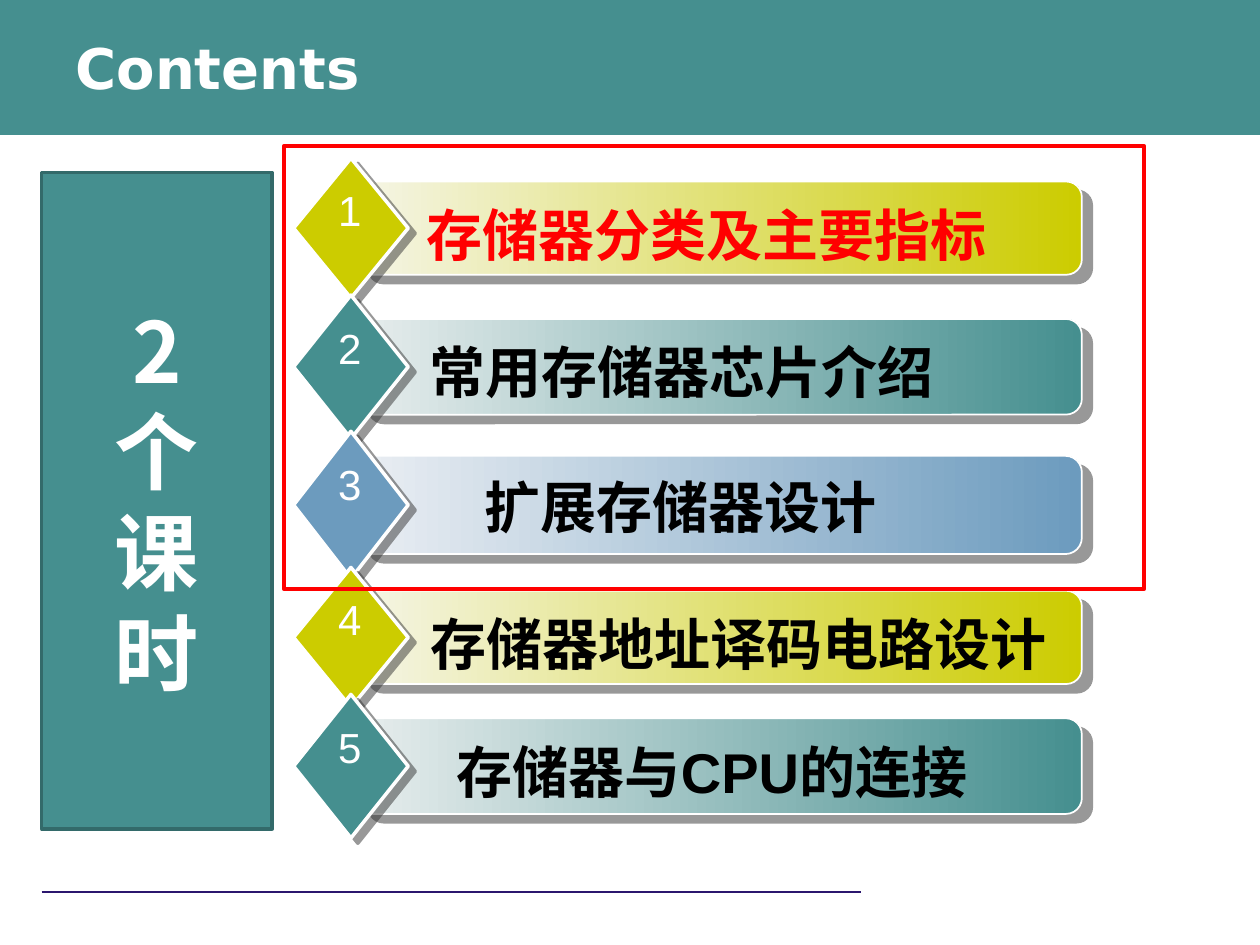
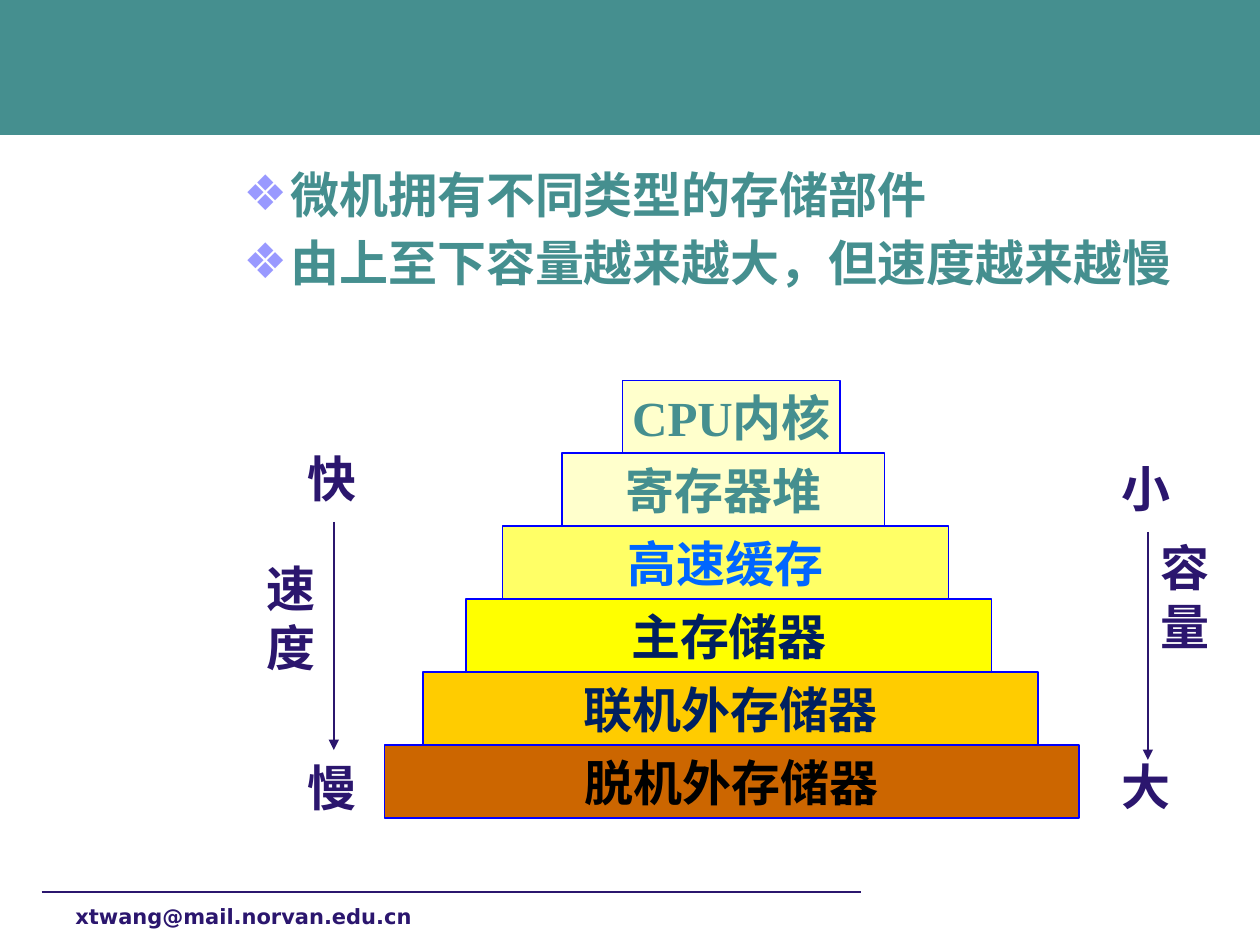
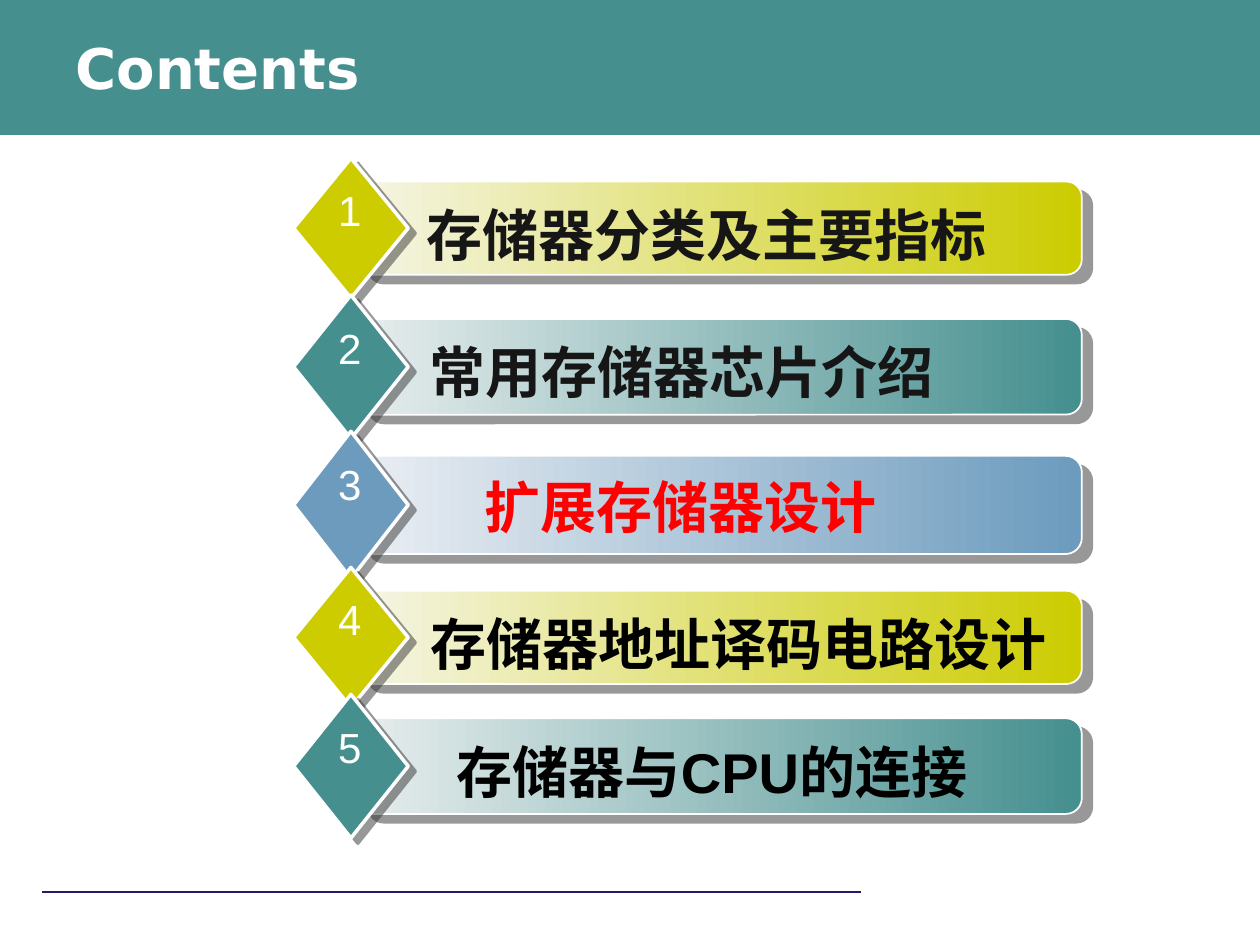
from dataclasses import dataclass

from lxml.etree import SubElement
from pptx import Presentation
from pptx.dml.color import RGBColor as RGB
from pptx.enum.shapes import MSO_CONNECTOR as Conn, MSO_SHAPE as Shape
from pptx.enum.text import MSO_ANCHOR as Anchor, MSO_AUTO_SIZE as AutoSize, PP_ALIGN as Align
from pptx.oxml.ns import qn
from pptx.util import Cm, Pt


@dataclass(frozen=True)
class Theme:
    teal: str = "458F8F"
    teal_dark: str = "336A6A"
    lime: str = "CCCC00"
    blue: str = "6C9BBE"
    navy: str = "2B166E"
    ink: str = "002060"
    white: str = "FFFFFF"
    black: str = "000000"
    soft_black: str = "161616"
    red: str = "FF0000"
    box_line: str = "0000FF"
    bullet: str = "9999FF"
    shadow: str = "333333"
    sans: str = "Arial"
    heading: str = "DejaVu Sans"
    serif: str = "Times New Roman"
    cjk: str = "Noto Sans CJK JP"
    huge: int = 48
    title: int = 32
    body: int = 28
    number: int = 24
    small: int = 12


T = Theme()

# Content: agenda rows as text, bar top, bar height, colour, label left, label width
AGENDA = [
    ("存储器分类及主要指标", 3.66, 1.88, T.lime, 7.98, 12.55),
    ("常用存储器芯片介绍", 6.43, 1.93, T.teal, 7.98, 11.53),
    ("扩展存储器设计", 9.19, 1.98, T.blue, 7.95, 11.53),
    ("存储器地址译码电路设计", 11.91, 1.88, T.lime, 8.41, 12.98),
    ("存储器与CPU的连接", 14.48, 1.93, T.teal, 8.59, 11.53),
]
PALE = {T.lime: "F5F5E6", T.teal: "E7EDED", T.blue: "EAEEF3"}
OVERVIEW_COLOURS = [T.red] + [T.black] * 4
DESIGN_COLOURS = [T.soft_black, T.soft_black, T.red, T.black, T.black]
HOURS = ["2", "个", "课", "时"]

POINTS = ["微机拥有不同类型的存储部件", "由上至下容量越来越大，但速度越来越慢"]
EMAIL = "xtwang@mail.norvan.edu.cn"
# Pyramid levels: text, left, width, fill, text colour
LEVELS = [
    ("CPU内核", 12.55, 4.39, "FFFFCC", T.teal),
    ("寄存器堆", 11.33, 6.50, "FFFFCC", T.teal),
    ("高速缓存", 10.13, 8.99, "FFFF66", "0066FF"),
    ("主存储器", 9.40, 10.59, "FFFF00", T.ink),
    ("联机外存储器", 8.53, 12.40, "FFCC00", T.ink),
    ("脱机外存储器", 7.75, 14.00, "CC6600", T.black),
]
LEVEL_TOP, LEVEL_H = 7.67, 1.47
# Scale words: text, left, top, height
SCALE_WORDS = [
    ("快", 5.94, 8.92, 1.45), ("速度", 5.13, 11.13, 2.62), ("慢", 5.94, 15.14, 1.45),
    ("小", 22.35, 9.12, 1.45), ("容量", 23.14, 10.72, 2.62), ("大", 22.35, 15.11, 1.45),
]
SCALE_ARROWS = [(6.73, 10.52), (23.14, 10.72)]
ARROW_LENGTH = 4.6


# Drawing helpers
def write(shape, text, size=T.body, font=T.sans, color=T.navy, bold=True,
          align=Align.LEFT, anchor=Anchor.MIDDLE, wrap=True, pitch=None, before=None):
    """Fill a shape with one paragraph per line of text."""
    tf = shape.text_frame
    tf.auto_size, tf.word_wrap, tf.vertical_anchor = AutoSize.NONE, wrap, anchor
    for i, line in enumerate([text] if isinstance(text, str) else text):
        p = tf.paragraphs[0] if i == 0 else tf.add_paragraph()
        p.alignment = align
        if pitch:
            p.line_spacing = Pt(pitch)
        if before:
            p.space_before = Pt(before)
        r = p.add_run()
        r.text = line
        r.font.size, r.font.bold, r.font.name = Pt(size), bold, font
        r.font.color.rgb = RGB.from_string(color)
        SubElement(r.font._element, qn("a:ea"), typeface=T.cjk)
    return tf


def text_box(s, left, top, width, height, text, **fmt):
    box = s.shapes.add_textbox(Cm(left), Cm(top), Cm(width), Cm(height))
    write(box, text, **fmt)


def add_shape(s, kind, left, top, width, height, fill=None, line=None, weight=1):
    sp = s.shapes.add_shape(kind, Cm(left), Cm(top), Cm(width), Cm(height))
    sp.shadow.inherit = False
    if fill:
        sp.fill.solid()
        sp.fill.fore_color.rgb = RGB.from_string(fill)
    else:
        sp.fill.background()
    if line:
        sp.line.color.rgb = RGB.from_string(line)
        sp.line.width = Pt(weight)
    else:
        sp.line.fill.background()
    return sp


def add_line(s, x1, y1, x2, y2, weight, arrow=False):
    c = s.shapes.add_connector(Conn.STRAIGHT, Cm(x1), Cm(y1), Cm(x2), Cm(y2))
    c.line.color.rgb = RGB.from_string(T.navy)
    c.line.width = Pt(weight)
    if arrow:
        SubElement(c.line._get_or_add_ln(), qn("a:tailEnd"), type="triangle")
    SubElement(c.element.spPr, qn("a:effectLst"))
    return c


def cast_shadow(sp, distance, angle):
    effects = sp.element.spPr.find(qn("a:effectLst"))
    outer = SubElement(effects, qn("a:outerShdw"), blurRad="0", dist=str(int(Pt(distance))),
                       dir=str(angle * 60000), algn="ctr", rotWithShape="0")
    color = SubElement(outer, qn("a:srgbClr"), val=T.shadow)
    SubElement(color, qn("a:alpha"), val="50000")


def place(ph, left, top, width, height):
    ph.left, ph.top, ph.width, ph.height = Cm(left), Cm(top), Cm(width), Cm(height)


def share_on_master(prs, s):
    """Draw the header band and footer rule, then move them behind every slide."""
    tree = prs.slide_master.shapes.element
    band = add_shape(s, Shape.RECTANGLE, 0, 0, 25.4, 2.72, T.teal)
    rule = add_line(s, 0.84, 17.98, 17.35, 17.98, 0.75)
    for i, part in enumerate((band, rule)):
        tree.insert(2 + i, part.element)


# Slides
def agenda_slide(prs, label_colours):
    s = prs.slides.add_slide(prs.slide_layouts[5])
    title = s.shapes.title
    place(title, 1.27, 0.56, 16.08, 1.57)
    write(title, "Contents", size=T.title, font=T.heading, color=T.white)
    for i, (row, label_color) in enumerate(zip(AGENDA, label_colours), 1):
        text, top, height, color, label_left, label_w = row
        bar = add_shape(s, Shape.ROUNDED_RECTANGLE, 7.21, top, 14.6, height, color, T.white)
        bar.adjustments[0] = 0.167
        bar.fill.gradient()
        bar.fill.gradient_angle = 0
        for stop, stop_color in zip(bar.fill.gradient_stops, (PALE[color], color)):
            stop.color.rgb = RGB.from_string(stop_color)
        cast_shadow(bar, 7.8, 40)
        diamond = add_shape(s, Shape.DIAMOND, 5.92, top - height / 4, 2.31, height * 1.5,
                            color, T.white, 2)
        cast_shadow(diamond, 5, 37)
        text_box(s, label_left, top + 0.23 - (0.05 if i == 3 else 0), label_w, 1.65, text,
                 size=T.title, color=label_color, align=Align.CENTER)
        text_box(s, 6.45, top - 0.08, 1.2, 1.3, str(i), size=T.number, color=T.white,
                 bold=False, align=Align.CENTER, wrap=False)
    return s


def add_focus(s):
    sidebar = add_shape(s, Shape.RECTANGLE, 0.84, 3.48, 4.65, 13.23, T.teal, T.teal_dark, 2)
    write(sidebar, HOURS, size=T.huge, font=T.cjk, color=T.white, align=Align.CENTER,
          pitch=T.huge * 1.2)
    add_shape(s, Shape.RECTANGLE, 5.72, 2.95, 17.35, 8.92, line=T.red, weight=2.25)


def hierarchy_slide(prs):
    s = prs.slides.add_slide(prs.slide_layouts[1])
    title = s.shapes.title.element
    title.getparent().remove(title)
    text_box(s, 1.27, 18.08, 7.42, 0.97, EMAIL, size=T.small, font=T.heading,
             anchor=Anchor.TOP)

    # Bulleted points
    body = s.placeholders[1]
    place(body, 4.65, 3.18, 19.48, 14.4)
    tf = write(body, POINTS, font=T.heading, color=T.teal, anchor=Anchor.TOP,
               pitch=T.body * 1.2, before=T.body * 0.2)
    for p in tf.paragraphs:
        pPr = p._p.get_or_add_pPr()
        indent = int(Cm(0.95))
        pPr.set("marL", str(indent))
        pPr.set("indent", str(-indent))
        SubElement(SubElement(pPr, qn("a:buClr")), qn("a:srgbClr"), val=T.bullet)
        SubElement(pPr, qn("a:buChar"), char="❖")

    # Pyramid of storage levels
    for i, (text, left, width, fill, color) in enumerate(LEVELS):
        level = add_shape(s, Shape.RECTANGLE, left, LEVEL_TOP + i * LEVEL_H, width, LEVEL_H,
                          fill, T.box_line)
        tf = write(level, text, font=T.serif, color=color, align=Align.CENTER)
        tf.margin_left = tf.margin_right = Cm(0.05)

    # Speed and capacity scales
    for text, left, top, height in SCALE_WORDS:
        text_box(s, left, top, 1.6, height, text,
                 pitch=T.body * 1.2 if len(text) > 1 else None)
    for x, top in SCALE_ARROWS:
        add_line(s, x, top, x, top + ARROW_LENGTH, 1, arrow=True)


def main():
    prs = Presentation()
    prs.slide_width, prs.slide_height = Cm(25.4), Cm(19.05)
    overview = agenda_slide(prs, OVERVIEW_COLOURS)
    share_on_master(prs, overview)
    add_focus(overview)
    hierarchy_slide(prs)
    agenda_slide(prs, DESIGN_COLOURS)
    prs.save("out.pptx")


if __name__ == "__main__":
    main()
